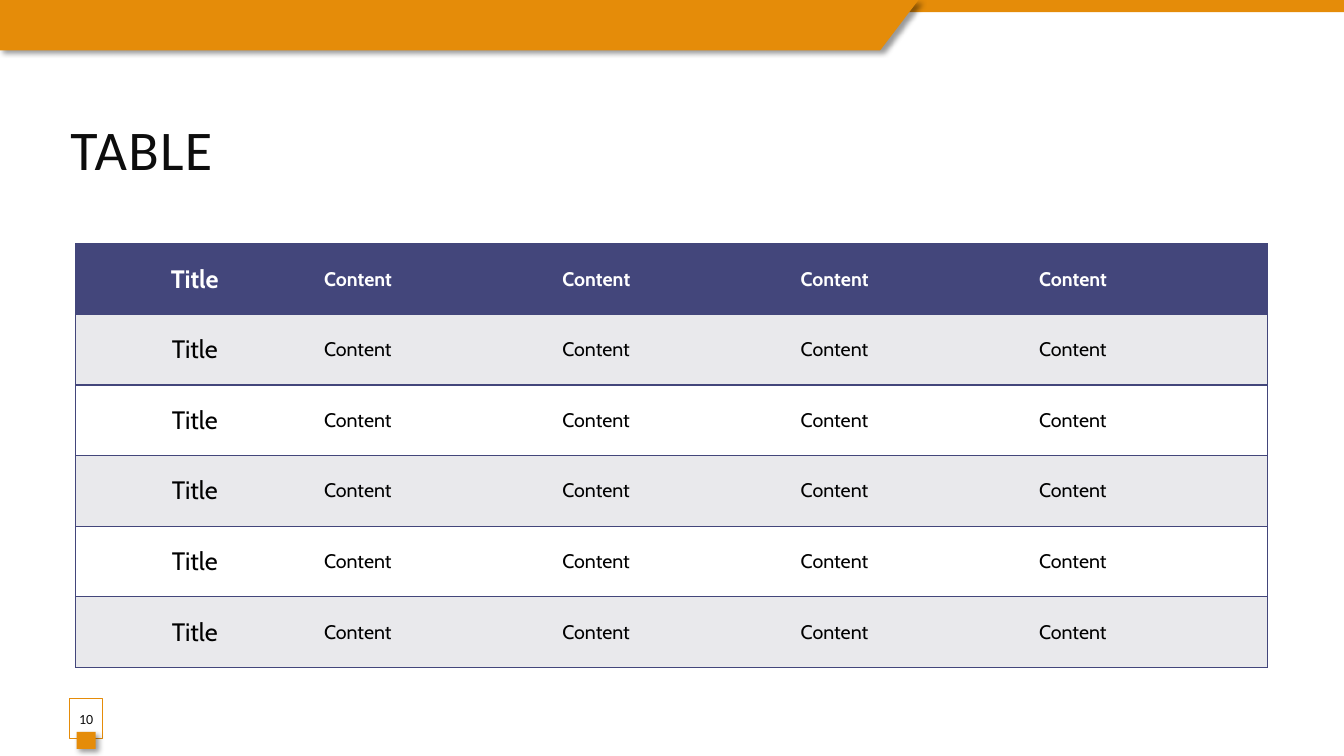
from lxml.etree import SubElement
from pptx import Presentation
from pptx.dml.color import RGBColor
from pptx.enum.shapes import MSO_SHAPE as Shape
from pptx.enum.text import MSO_ANCHOR as Anchor, PP_ALIGN as Align
from pptx.oxml import parse_xml
from pptx.oxml.ns import nsdecls, qn
from pptx.util import Emu, Inches, Pt

COLORS = {"orange": "E58C09", "indigo": "43467B", "band": "E9E9EC",
          "white": "FFFFFF", "ink": "0D0D0D", "black": "000000"}
WIDTH, HEIGHT = 13.33, 7.5
ROWS, COLUMNS = 6, 5


def color(name):
    return RGBColor.from_string(COLORS[name])


def paint(part, fill):
    part.shadow.inherit = False
    part.fill.solid()
    part.fill.fore_color.rgb = color(fill)
    part.line.fill.background()


def cast_shadow(part):
    effects = part._element.spPr.find(qn("a:effectLst"))
    effects.append(parse_xml(
        f'<a:outerShdw {nsdecls("a")} blurRad="{Pt(4)}" dist="{Pt(3)}" dir="2700000" '
        f'algn="tl" rotWithShape="0"><a:srgbClr val="{COLORS["black"]}">'
        '<a:alpha val="40000"/></a:srgbClr></a:outerShdw>'))


def write(frame, text, size, ink, font, align=Align.LEFT, bold=False):
    frame.text = text
    paragraph = frame.paragraphs[0]
    paragraph.alignment = align
    run = paragraph.runs[0]
    run.font.size, run.font.name, run.font.bold = Pt(size), font, bold
    run.font.color.rgb = color(ink)
    return run


def add_rect(slide, left, top, width, height, fill):
    rect = slide.shapes.add_shape(Shape.RECTANGLE, Inches(left), Inches(top),
                                  Inches(width), Inches(height))
    paint(rect, fill)
    return rect


def add_banner(slide, left, top, width, height):
    # Thin strip across the slide, then the slanted tab over it
    add_rect(slide, left, top, width, height * 0.24, "orange")
    tab_right, slant = left + 9.11, 0.38
    outline = slide.shapes.build_freeform(Inches(left), Inches(top))
    outline.add_line_segments([
        (Inches(tab_right), Inches(top)),
        (Inches(tab_right - slant), Inches(top + height)),
        (Inches(left), Inches(top + height))], close=True)
    tab = outline.convert_to_shape()
    paint(tab, "orange")
    cast_shadow(tab)


def add_heading(slide, left, top, width, height):
    heading = slide.shapes.add_textbox(Inches(left), Inches(top),
                                       Inches(width), Inches(height))
    frame = heading.text_frame
    frame.word_wrap = True
    frame.vertical_anchor = Anchor.MIDDLE
    run = write(frame, "TABLE", 40, "ink", "Calibri")
    run.font._element.set("spc", "100")


def set_borders(cell, column):
    visible = {"lnL": column == 0, "lnR": column == COLUMNS - 1,
               "lnT": True, "lnB": True}
    properties = cell._tc.get_or_add_tcPr()
    for position, (side, shown) in enumerate(visible.items()):
        border = parse_xml(f'<a:{side} {nsdecls("a")} w="{Pt(1)}"/>')
        if shown:
            fill = SubElement(border, qn("a:solidFill"))
            SubElement(fill, qn("a:srgbClr")).set("val", COLORS["indigo"])
        else:
            SubElement(border, qn("a:noFill"))
        properties.insert(position, border)


def add_content_table(slide, left, top, width, height):
    table = slide.shapes.add_table(ROWS, COLUMNS, Inches(left), Inches(top),
                                   Inches(width), Inches(height)).table
    for column in table.columns:
        column.width = Emu(Inches(width) // COLUMNS)
    for row, line in enumerate(table.rows):
        line.height = Emu(Inches(height) // ROWS)
        header = row == 0
        fill = "indigo" if header else "band" if row % 2 else "white"
        ink = "white" if header else "black"
        for column, cell in enumerate(line.cells):
            cell.fill.solid()
            cell.fill.fore_color.rgb = color(fill)
            cell.vertical_anchor = Anchor.MIDDLE
            text, size, align = (("Content", 14, Align.LEFT) if column
                                 else ("Title", 18, Align.CENTER))
            write(cell.text_frame, text, size, ink, "Cabin", align, header)
            set_borders(cell, column)


def add_page_number(slide, left, top, width, height):
    # Translucent frame holding the number
    badge = add_rect(slide, left, top, width, height, "white")
    tint = badge._element.spPr.find(qn("a:solidFill"))[0]
    SubElement(tint, qn("a:alpha")).set("val", "82000")
    badge.line.color.rgb = color("orange")
    badge.line.width = Pt(0.75)
    frame = badge.text_frame
    frame.margin_left = frame.margin_right = 0
    frame.vertical_anchor = Anchor.MIDDLE
    write(frame, "10", 10, "ink", "Calibri", Align.CENTER)
    # Small block over the lower edge
    block_width = 0.19
    block = add_rect(slide, left + (width - block_width) / 2, top + 0.33,
                     block_width, 0.17, "orange")
    cast_shadow(block)


def main():
    deck = Presentation()
    deck.slide_width, deck.slide_height = Inches(WIDTH), Inches(HEIGHT)
    slide = deck.slides.add_slide(deck.slide_layouts[6])
    add_banner(slide, 0, 0, WIDTH, 0.5)
    add_heading(slide, 0.6, 1.08, 11.82, 0.77)
    add_page_number(slide, 0.69, 6.93, 0.33, 0.4)
    add_content_table(slide, 0.75, 2.42, 11.82, 4.2)
    deck.save("out.pptx")


if __name__ == "__main__":
    main()
